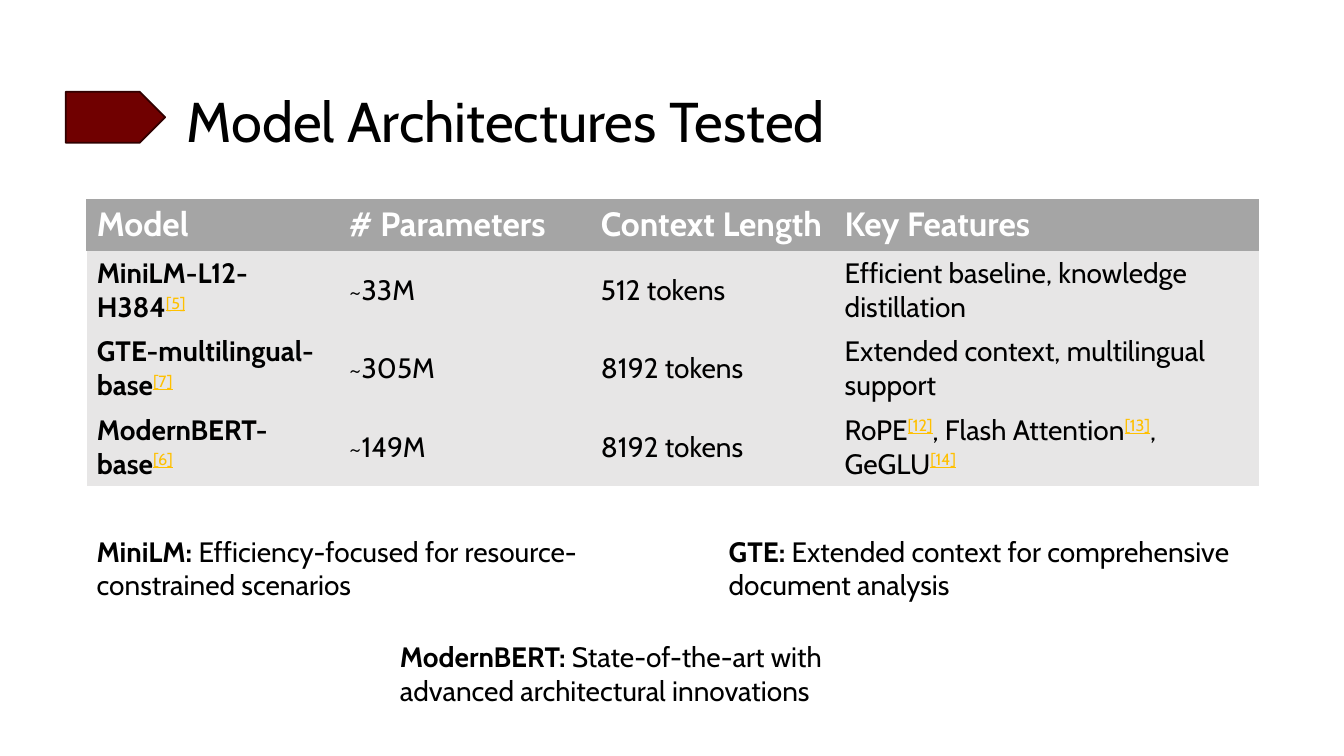
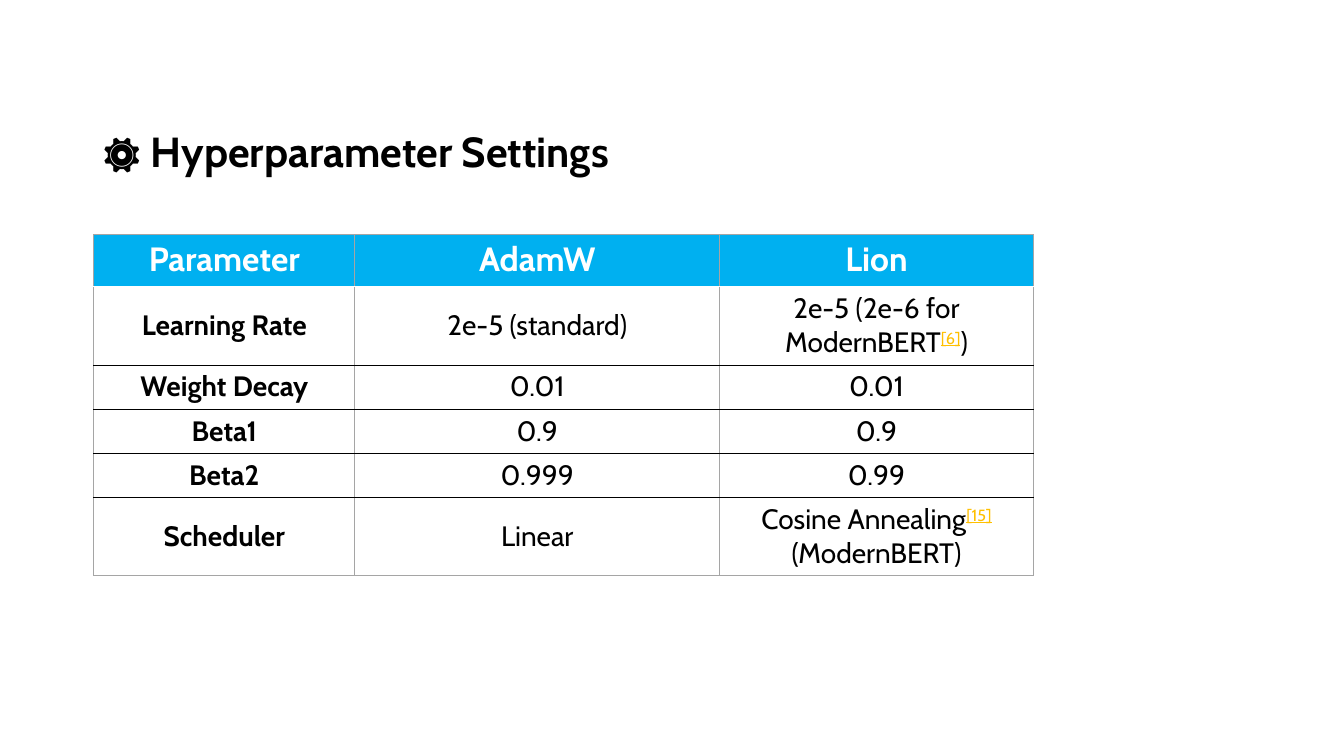
"""Build two slides on model architectures and hyperparameter settings."""
from dataclasses import dataclass
from typing import NamedTuple, Optional

import lxml.etree
import pptx
import pptx.dml.color
import pptx.enum.shapes
import pptx.enum.text
import pptx.oxml.ns
import pptx.util

Pt = pptx.util.Pt
ALIGN = pptx.enum.text.PP_ALIGN
ANCHOR = pptx.enum.text.MSO_ANCHOR
AUTO_SIZE = pptx.enum.text.MSO_AUTO_SIZE
qn = pptx.oxml.ns.qn

FONT = "Cabin"
BLACK, WHITE = "000000", "FFFFFF"
GRAY, PALE = "A5A5A5", "E7E6E6"
GOLD, BLUE = "FFC000", "00B0F0"
MAROON, DARK_MAROON = "700000", "310000"
NO_STYLE = "{2D5ABB26-0587-4C30-8999-92F81FD0307C}"
SIDES = ("L", "R", "T", "B")


class Box(NamedTuple):
    left: float
    top: float
    width: float
    height: float


class Run(NamedTuple):
    text: str
    bold: bool = False
    ref: bool = False


class Edge(NamedTuple):
    color: str
    width: float


@dataclass
class Note:
    box: Box
    name: str
    text: str


@dataclass
class Grid:
    left: float
    top: float
    cols: list[float]
    rows: list[float]
    cells: list[list[list[Run]]]
    head_fill: str
    body_fill: str
    align: ALIGN
    ruled: bool


def rgb(color: str) -> pptx.dml.color.RGBColor:
    """Turn a hex string into a colour."""
    return pptx.dml.color.RGBColor.from_string(color)


def bold(text: str) -> Run:
    """Make a bold run."""
    return Run(text, bold=True)


def ref(number: int) -> Run:
    """Make a superscript citation mark."""
    return Run(f"[{number}]", ref=True)


def add_runs(p, runs: list[Run], size: float, color: str = BLACK) -> None:
    """Add formatted runs to a paragraph."""
    for run in runs:
        r = p.add_run()
        r.text = run.text
        r.font.name = FONT
        r.font.size = Pt(size)
        r.font.bold = run.bold
        r.font.color.rgb = rgb(GOLD if run.ref else color)
        if run.ref:
            r.font.underline = True
            r._r.get_or_add_rPr().set("baseline", "30000")


def place(sp, box: Box) -> None:
    """Move and size a shape."""
    sp.left, sp.top, sp.width, sp.height = map(Pt, box)


def add_slide(prs, title: Run, box: Box, size: float, anchor: ANCHOR):
    """Add a title-only slide and format its title."""
    s = prs.slides.add_slide(prs.slide_layouts[5])
    sp = s.shapes.title
    place(sp, box)
    tf = sp.text_frame
    tf.word_wrap = True
    tf.auto_size = AUTO_SIZE.NONE
    tf.vertical_anchor = anchor
    p = tf.paragraphs[0]
    p.alignment = ALIGN.LEFT
    add_runs(p, [title], size)
    return s


def add_pentagon(s, box: Box) -> None:
    """Draw the arrow marker beside the title."""
    sp = s.shapes.add_shape(
        pptx.enum.shapes.MSO_SHAPE.PENTAGON, *map(Pt, box))
    sp.shadow.inherit = False
    sp.fill.solid()
    sp.fill.fore_color.rgb = rgb(MAROON)
    sp.line.color.rgb = rgb(DARK_MAROON)
    sp.line.width = Pt(1.25)


def add_note(s, note: Note) -> None:
    """Add a text box with a bold lead-in."""
    sp = s.shapes.add_textbox(*map(Pt, note.box))
    tf = sp.text_frame
    tf.word_wrap = True
    tf.auto_size = AUTO_SIZE.SHAPE_TO_FIT_TEXT
    add_runs(tf.paragraphs[0], [bold(f"{note.name}:"), Run(f" {note.text}")], 20)


def set_edges(cell, edges: dict[str, Edge]) -> None:
    """Draw the given borders of a cell and hide the others."""
    props = cell._tc.get_or_add_tcPr()
    for i, side in enumerate(SIDES):
        edge: Optional[Edge] = edges.get(side)
        ln = lxml.etree.Element(qn(f"a:ln{side}"))
        if edge:
            ln.set("w", str(Pt(edge.width)))
            fill = lxml.etree.SubElement(ln, qn("a:solidFill"))
            lxml.etree.SubElement(fill, qn("a:srgbClr"), val=edge.color)
        else:
            lxml.etree.SubElement(ln, qn("a:noFill"))
        props.insert(i, ln)


def cell_edges(grid: Grid, row: int, col: int) -> dict[str, Edge]:
    """Work out the borders of a cell from its place in the grid."""
    outer, rule, gap = Edge(GRAY, 0.75), Edge(BLACK, 0.25), Edge(WHITE, 1.25)
    if not grid.ruled:
        if row:
            return {}
        edges = {"T": outer}
        if col == 0:
            edges["L"] = outer
        if col == len(grid.cols) - 1:
            edges["R"] = outer
        return edges
    levels = [outer, gap] + [rule] * (len(grid.rows) - 2) + [outer]
    return {"L": outer, "R": outer, "T": levels[row], "B": levels[row + 1]}


def add_grid(s, grid: Grid) -> None:
    """Add a table with a header row."""
    frame = s.shapes.add_table(
        len(grid.rows), len(grid.cols), Pt(grid.left), Pt(grid.top),
        Pt(sum(grid.cols)), Pt(sum(grid.rows)))
    table = frame.table
    table.horz_banding = False
    table._tbl.tblPr.find(qn("a:tableStyleId")).text = NO_STYLE
    for column, width in zip(table.columns, grid.cols):
        column.width = Pt(width)
    for i, (height, line) in enumerate(zip(grid.rows, grid.cells)):
        table.rows[i].height = Pt(height)
        for j, runs in enumerate(line):
            cell = table.cell(i, j)
            cell.fill.solid()
            cell.fill.fore_color.rgb = rgb(grid.body_fill if i else grid.head_fill)
            cell.vertical_anchor = ANCHOR.MIDDLE if i else ANCHOR.TOP
            set_edges(cell, cell_edges(grid, i, j))
            p = cell.text_frame.paragraphs[0]
            p.alignment = grid.align
            add_runs(p, runs, 20 if i else 24, BLACK if i else WHITE)


MODELS = Grid(
    62, 142.5, [180, 180, 174.2, 303], [37, 56, 56, 56],
    [
        [[bold(t)] for t in ("Model", "# Parameters", "Context Length", "Key Features")],
        [[bold("MiniLM-L12-H384"), ref(5)], [Run("~33M")], [Run("512 tokens")],
         [Run("Efficient baseline, knowledge distillation")]],
        [[bold("GTE-multilingual-base"), ref(7)], [Run("~305M")], [Run("8192 tokens")],
         [Run("Extended context, multilingual support")]],
        [[bold("ModernBERT-base"), ref(6)], [Run("~149M")], [Run("8192 tokens")],
         [Run("RoPE"), ref(12), Run(", Flash Attention"), ref(13),
          Run(", GeGLU"), ref(14)]],
    ],
    GRAY, PALE, ALIGN.LEFT, ruled=False)

NOTES = [
    Note(Box(62, 378, 371, 55.5), "MiniLM",
         "Efficiency-focused for resource-constrained scenarios"),
    Note(Box(513.4, 378, 411, 55.5), "GTE",
         "Extended context for comprehensive document analysis"),
    Note(Box(278.6, 453.6, 371, 55.5), "ModernBERT",
         "State-of-the-art with advanced architectural innovations"),
]

SETTINGS = Grid(
    67, 167.5, [186.5, 260.6, 224], [37, 56, 31.6, 31.6, 31.6, 56],
    [
        [[bold(t)] for t in ("Parameter", "AdamW", "Lion")],
        [[bold("Learning Rate")], [Run("2e-5 (standard)")],
         [Run("2e-5 (2e-6 for ModernBERT"), ref(6), Run(")")]],
        [[bold("Weight Decay")], [Run("0.01")], [Run("0.01")]],
        [[bold("Beta1")], [Run("0.9")], [Run("0.9")]],
        [[bold("Beta2")], [Run("0.999")], [Run("0.99")]],
        [[bold("Scheduler")], [Run("Linear")],
         [Run("Cosine Annealing"), ref(15), Run(" (ModernBERT)")]],
    ],
    BLUE, WHITE, ALIGN.CENTER, ruled=True)


def main() -> None:
    """Build and save the presentation."""
    prs = pptx.Presentation()
    prs.slide_width, prs.slide_height = Pt(960), Pt(540)

    s = add_slide(prs, Run("Model Architectures Tested"),
                  Box(126, 0, 675, 113.5), 40, ANCHOR.BOTTOM)
    add_grid(s, MODELS)
    add_pentagon(s, Box(47, 65.5, 71, 36.5))
    for note in NOTES:
        add_note(s, note)

    s = add_slide(prs, bold("⚙️ Hyperparameter Settings"),
                  Box(66, 86, 835, 60), 30, ANCHOR.TOP)
    add_grid(s, SETTINGS)
    prs.save("out.pptx")


if __name__ == "__main__":
    main()
